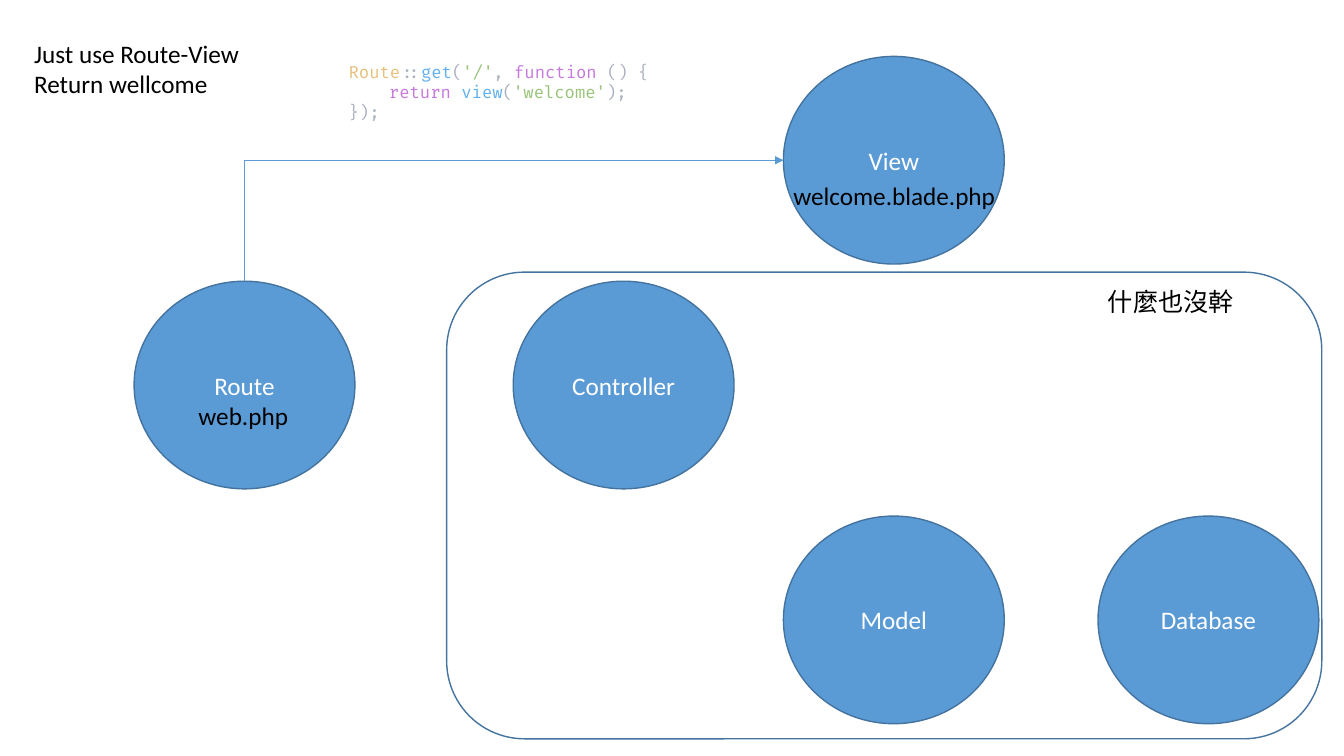
from lxml.etree import SubElement
from pptx import Presentation
from pptx.dml.color import RGBColor
from pptx.enum.shapes import MSO_CONNECTOR, MSO_SHAPE
from pptx.enum.text import MSO_ANCHOR, MSO_AUTO_SIZE, PP_ALIGN
from pptx.oxml.ns import qn
from pptx.util import Inches, Pt

BLUE = RGBColor(0x5B, 0x9B, 0xD5)
EDGE = RGBColor(0x43, 0x73, 0x9E)
WHITE = RGBColor(0xFF, 0xFF, 0xFF)
BLACK = RGBColor(0x00, 0x00, 0x00)
GOLD = RGBColor(0xE5, 0xC0, 0x7B)
GREY = RGBColor(0xAB, 0xB2, 0xBF)
SKY = RGBColor(0x61, 0xAF, 0xEF)
GREEN = RGBColor(0x98, 0xC3, 0x79)
PURPLE = RGBColor(0xC6, 0x78, 0xDD)

WIDE, HIGH = 2.19, 2.06
TOP, MID, LOW = 0.56, 2.79, 5.12
ROUTE, CONTROL, VIEW, DATA = 1.33, 5.09, 7.77, 10.89
NODES = [
    ("Route", ROUTE, MID),
    ("Controller", CONTROL, MID),
    ("Model", VIEW, LOW),
    ("View", VIEW, TOP),
    ("Database", DATA, LOW),
]
CODE = [
    (0, [("Route", GOLD), ("::", GREY), ("get", SKY), ("(", GREY), ("'/'", GREEN),
         (", ", GREY), ("function", PURPLE), (" () {", GREY)]),
    (0.4, [("return ", PURPLE), ("view", SKY), ("(", GREY),
           ("'welcome'", GREEN), (");", GREY)]),
    (0, [("});", GREY)]),
]
NOTES = [
    ("welcome.blade.php", VIEW, 1.74, 2.33, 0.4, True),
    ("web.php", 1.87, 3.92, 1.1, 0.4, False),
    ("什麼也沒幹", DATA, MID, 1.46, 0.4, False),
    ("Just use Route-View\nReturn wellcome", 0.24, 0.33, 2.26, 0.71, False),
]


class Page:
    """Draws styled elements on one slide."""

    def __init__(self, slide, font="Calibri", mono="Fira Code"):
        self.shapes = slide.shapes
        self.font = font
        self.mono = mono

    def style(self, run, color, size=18, font=None):
        run.font.name = font or self.font
        run.font.size = Pt(size)
        run.font.color.rgb = color

    def shape(self, kind, x, y, w, h):
        shape = self.shapes.add_shape(kind, Inches(x), Inches(y), Inches(w), Inches(h))
        shape.shadow.inherit = False
        shape.line.color.rgb = EDGE
        shape.line.width = Pt(1)
        return shape

    def node(self, text, x, y):
        shape = self.shape(MSO_SHAPE.OVAL, x, y, WIDE, HIGH)
        shape.fill.solid()
        shape.fill.fore_color.rgb = BLUE
        frame = shape.text_frame
        frame.text = text
        frame.vertical_anchor = MSO_ANCHOR.MIDDLE
        part = frame.paragraphs[0]
        part.alignment = PP_ALIGN.CENTER
        self.style(part.runs[0], WHITE)

    def frame(self, x, y, w, h):
        self.shape(MSO_SHAPE.ROUNDED_RECTANGLE, x, y, w, h).fill.background()

    def box(self, x, y, w, h, wrap):
        box = self.shapes.add_textbox(Inches(x), Inches(y), Inches(w), Inches(h))
        box.text_frame.word_wrap = wrap
        box.text_frame.auto_size = MSO_AUTO_SIZE.SHAPE_TO_FIT_TEXT
        return box.text_frame

    def note(self, text, x, y, w, h, wrap):
        frame = self.box(x, y, w, h, wrap)
        frame.text = text
        for part in frame.paragraphs:
            self.style(part.runs[0], BLACK)

    def code(self, rows, x, y, w, h):
        frame = self.box(x, y, w, h, True)
        for i, (dent, bits) in enumerate(rows):
            part = frame.add_paragraph() if i else frame.paragraphs[0]
            part._p.get_or_add_pPr().set("marL", str(Inches(dent)))
            for text, color in bits:
                run = part.add_run()
                run.text = text
                self.style(run, color, 12, self.mono)

    def bend(self, x1, y1, x2, y2):
        wide, high = x2 - x1, y1 - y2
        mid_x, mid_y = (x1 + x2) / 2, (y1 + y2) / 2
        link = self.shapes.add_connector(
            MSO_CONNECTOR.ELBOW,
            Inches(mid_x + high / 2), Inches(mid_y + wide / 2),
            Inches(mid_x - high / 2), Inches(mid_y - wide / 2))
        link.line.color.rgb = BLUE
        link.line.width = Pt(0.5)
        props = link._element.spPr
        props.find(qn("a:xfrm")).set("rot", "5400000")
        props.find(qn("a:prstGeom")).set("prst", "bentConnector2")
        SubElement(props.find(qn("a:ln")), qn("a:tailEnd")).set("type", "triangle")
        SubElement(props, qn("a:effectLst"))


deck = Presentation()
deck.slide_width, deck.slide_height = Inches(13.33), Inches(7.5)
page = Page(deck.slides.add_slide(deck.slide_layouts[6]))
for node in NODES:
    page.node(*node)
page.bend(ROUTE + WIDE / 2, MID, VIEW, TOP + HIGH / 2)
page.code(CODE, 3.36, TOP, 3.67, 0.91)
page.frame(4.43, 2.7, 8.68, 4.63)
for note in NOTES:
    page.note(*note)
deck.save("out.pptx")
